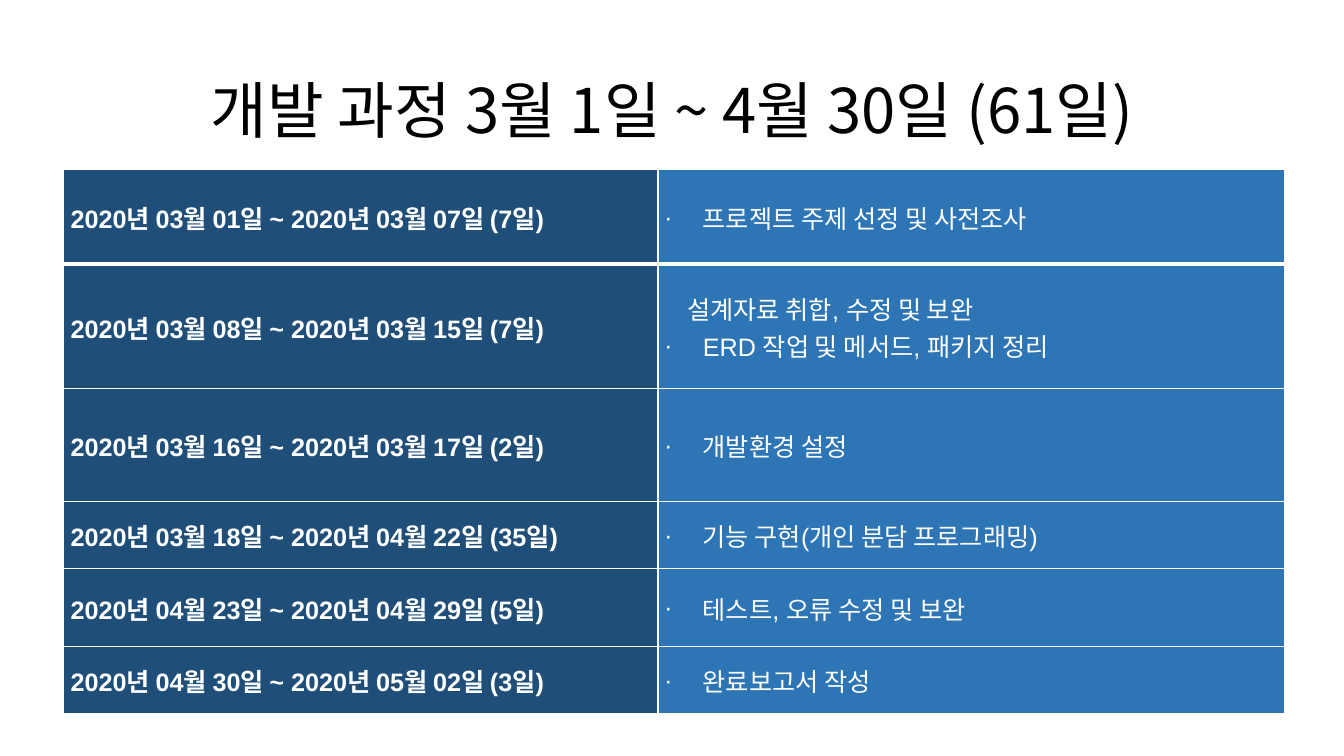
import pptx
import pptx.util
import pptx.dml.color
import pptx.enum.text
import pptx.oxml
import pptx.oxml.ns
from lxml import etree

Pt = pptx.util.Pt
qn = pptx.oxml.ns.qn
ALIGN = pptx.enum.text.PP_ALIGN
MIDDLE = pptx.enum.text.MSO_ANCHOR.MIDDLE
COLORS = {"black": "000000", "white": "FFFFFF", "period": "1F4E79", "task": "2E75B6"}
KOREAN_FONT = "Noto Sans CJK KR"


def rgb(name):
    return pptx.dml.color.RGBColor.from_string(COLORS[name])


def write(p, text, size=18, font="Arial", color="white", bold=False,
          align=ALIGN.LEFT, spacing=1.03, margin=0, bullet=None):
    p.alignment, p.line_spacing = align, spacing
    r = p.add_run()
    r.text = text
    r.font.size, r.font.bold, r.font.name = Pt(size), bold, font
    r.font.color.rgb = rgb(color)
    etree.SubElement(r.font._element, qn("a:ea"), typeface=KOREAN_FONT)
    pPr = p._p.get_or_add_pPr()
    pPr.set("marL", str(Pt(margin)))
    if bullet:
        pPr.set("indent", str(-Pt(margin)))
        etree.SubElement(pPr, qn("a:buFont"), typeface="Arial")
        etree.SubElement(pPr, qn("a:buChar"), char=bullet)


prs = pptx.Presentation()
prs.slide_width, prs.slide_height = Pt(960), Pt(540)
s = prs.slides.add_slide(prs.slide_layouts[6])

# Title
tf = s.shapes.add_textbox(Pt(66), Pt(28.75), Pt(828), Pt(104.4)).text_frame
tf.word_wrap = True
tf.vertical_anchor = MIDDLE
write(tf.paragraphs[0], "개발 과정 3월 1일 ~ 4월 30일 (61일)", size=44,
      font=KOREAN_FONT, color="black", align=ALIGN.CENTER, spacing=0.9)

# Schedule: row height, period, tasks as (text, bulleted)
schedule = [
    (67.5, "2020년 03월 01일 ~ 2020년 03월 07일 (7일)",
     [("프로젝트 주제 선정 및 사전조사", True)]),
    (89, "2020년 03월 08일 ~ 2020년 03월 15일 (7일)",
     [("설계자료 취합, 수정 및 보완", False),
      ("ERD 작업 및 메서드, 패키지 정리", True)]),
    (80.5, "2020년 03월 16일 ~ 2020년 03월 17일 (2일)", [("개발환경 설정", True)]),
    (48, "2020년 03월 18일 ~ 2020년 04월 22일 (35일)",
     [("기능 구현(개인 분담 프로그래밍)", True)]),
    (55.5, "2020년 04월 23일 ~ 2020년 04월 29일 (5일)",
     [("테스트, 오류 수정 및 보완", True)]),
    (48, "2020년 04월 30일 ~ 2020년 05월 02일 (3일)", [("완료보고서 작성", True)]),
]
col_widths = [424.5, 447.5]
table = s.shapes.add_table(len(schedule), 2, Pt(45.5), Pt(121.3), Pt(sum(col_widths)),
                           Pt(sum(row[0] for row in schedule))).table
for col, width in zip(table.columns, col_widths):
    col.width = Pt(width)

for i, (height, period, tasks) in enumerate(schedule):
    table.rows[i].height = Pt(height)
    period_cell, task_cell = table.cell(i, 0), table.cell(i, 1)

    # Cell text
    write(period_cell.text_frame.paragraphs[0], period, bold=True)
    tf = task_cell.text_frame
    for j, (task, bulleted) in enumerate(tasks):
        p = tf.add_paragraph() if j else tf.paragraphs[0]
        write(p, task, margin=27 if bulleted else 16, bullet="∙" if bulleted else None)

    # Cell fill, margins and borders, with a thick rule under the first row
    for cell, fill in ((period_cell, "period"), (task_cell, "task")):
        cell.vertical_anchor = MIDDLE
        cell.margin_left = cell.margin_right = Pt(5)
        cell.margin_top = cell.margin_bottom = Pt(1.4)
        cell.fill.solid()
        cell.fill.fore_color.rgb = rgb(fill)
        tcPr = cell._tc.get_or_add_tcPr()
        widths = {"L": 1, "R": 1, "T": 3 if i == 1 else 1, "B": 3 if i == 0 else 1}
        for k, (side, width) in enumerate(widths.items()):
            ln = etree.Element(qn("a:ln" + side), w=str(Pt(width)))
            solid = etree.SubElement(ln, qn("a:solidFill"))
            etree.SubElement(solid, qn("a:srgbClr"), val=COLORS["white"])
            tcPr.insert(k, ln)

prs.save("out.pptx")
